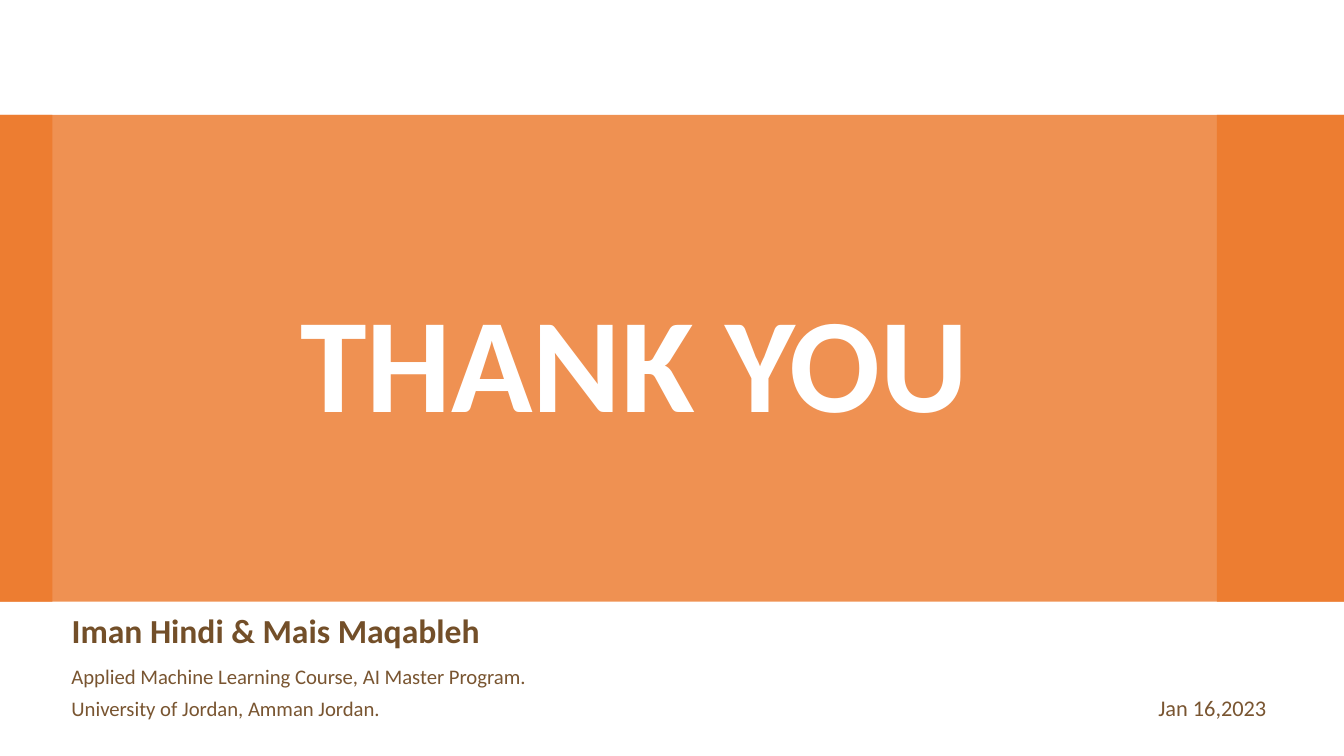
from lxml.etree import SubElement
from pptx import Presentation
from pptx.dml.color import RGBColor
from pptx.enum.shapes import MSO_SHAPE
from pptx.enum.text import MSO_ANCHOR, MSO_AUTO_SIZE, PP_ALIGN
from pptx.oxml.ns import qn
from pptx.util import Inches, Pt

COLOURS = {
    "orange": "ED7D31",
    "white": "FFFFFF",
    "dark brown": "734F29",
    "brown": "795531",
}
BAND_TOP, BAND_HEIGHT = 1.14, 4.83


def colour(name):
    return RGBColor.from_string(COLOURS[name])


def add_band(page, left, width, opacity=100):
    band = page.shapes.add_shape(
        MSO_SHAPE.RECTANGLE,
        Inches(left), Inches(BAND_TOP), Inches(width), Inches(BAND_HEIGHT),
    )
    band.shadow.inherit = False
    band.line.fill.background()
    band.fill.solid()
    band.fill.fore_color.rgb = colour("orange")
    if opacity < 100:
        tint = band.fill._xPr.find(qn("a:solidFill"))[0]
        SubElement(tint, qn("a:alpha"), val=str(opacity * 1000))


def write(box, lines, size, ink, spacing, bold=False,
          align=PP_ALIGN.LEFT, anchor=MSO_ANCHOR.TOP):
    frame = box.text_frame
    frame.text = "\n".join(lines)
    frame.word_wrap = True
    frame.auto_size = MSO_AUTO_SIZE.NONE
    frame.vertical_anchor = anchor
    for para in frame.paragraphs:
        para.alignment = align
        para.line_spacing = spacing
        para.space_before = Pt(0)
        para.font.name = "Calibri"
        para.font.size = Pt(size)
        para.font.bold = bold
        para.font.color.rgb = colour(ink)


def place(box, left, top, width, height):
    box.left, box.top = Inches(left), Inches(top)
    box.width, box.height = Inches(width), Inches(height)


def add_text(page, left, top, width, height, lines, size, spacing):
    box = page.shapes.add_textbox(
        Inches(left), Inches(top), Inches(width), Inches(height))
    write(box, lines, size, "brown", spacing)


def main():
    deck = Presentation()
    deck.slide_width, deck.slide_height = Inches(13.33), Inches(7.5)
    page = deck.slides.add_slide(deck.slide_layouts[0])

    add_band(page, -0.01, 13.34, opacity=84)
    add_band(page, -0.01, 0.53)
    add_band(page, 12.07, 1.27)

    title = page.shapes.title
    place(title, 0.75, 2.68, 11.09, 1.75)
    write(title, ["THANK YOU"], 96, "white", 0.9, bold=True,
          align=PP_ALIGN.CENTER, anchor=MSO_ANCHOR.BOTTOM)
    page.shapes._spTree.append(title._element)

    authors = page.placeholders[1]
    place(authors, 0.61, 6.08, 6.59, 0.43)
    write(authors, ["Iman Hindi & Mais Maqableh"], 24, "dark brown", 0.8, bold=True)

    add_text(page, 0.61, 6.46, 6.59, 0.76, [
        "Applied Machine Learning Course, AI Master Program.",
        "University of Jordan, Amman Jordan.",
    ], 14.8, 1.3)
    add_text(page, 11.39, 6.7, 1.36, 0.53, ["Jan 16,2023"], 16, 1.5)

    deck.save("out.pptx")


if __name__ == "__main__":
    main()
